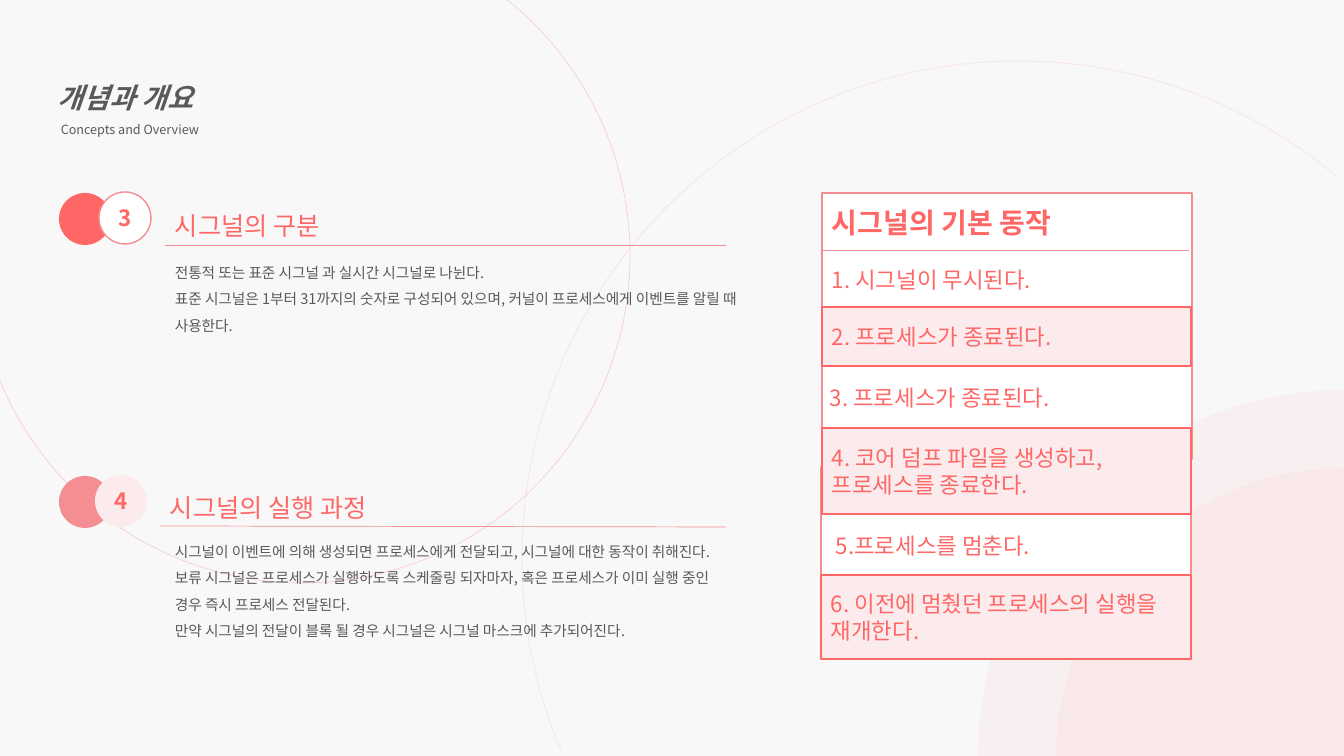
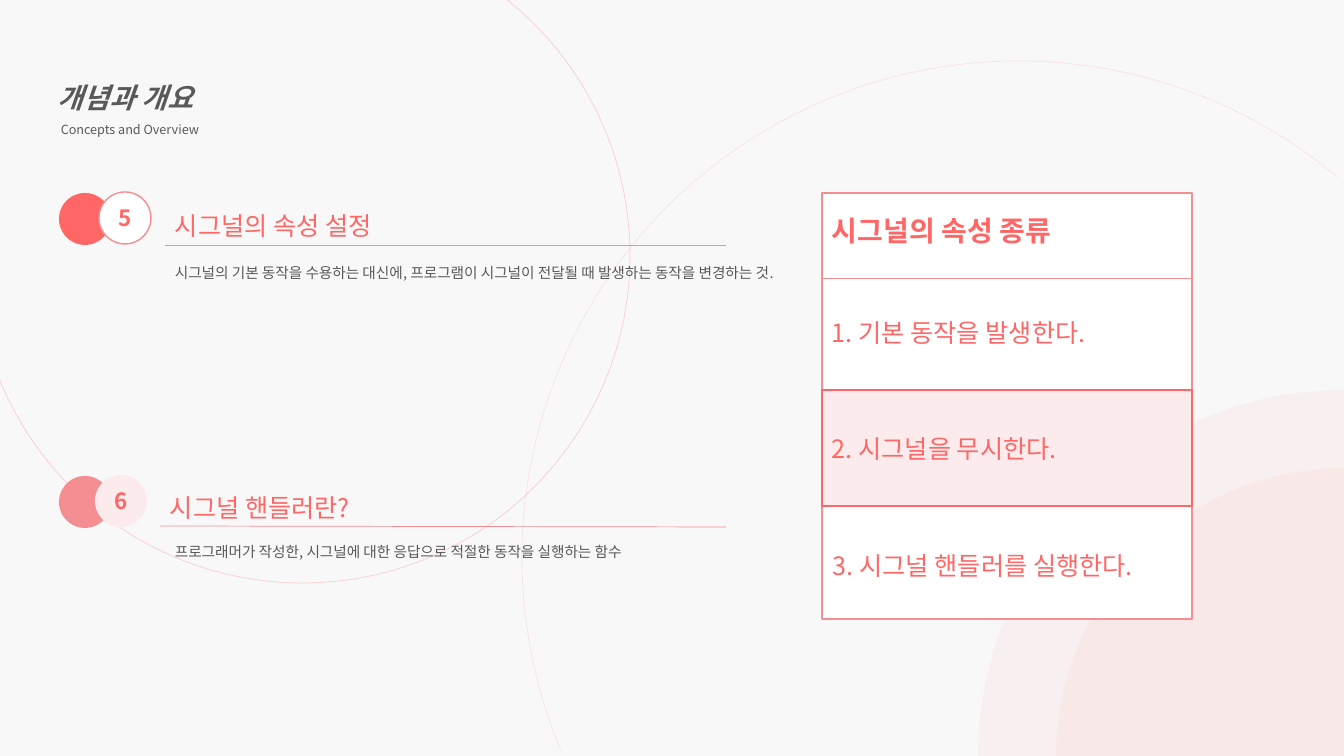
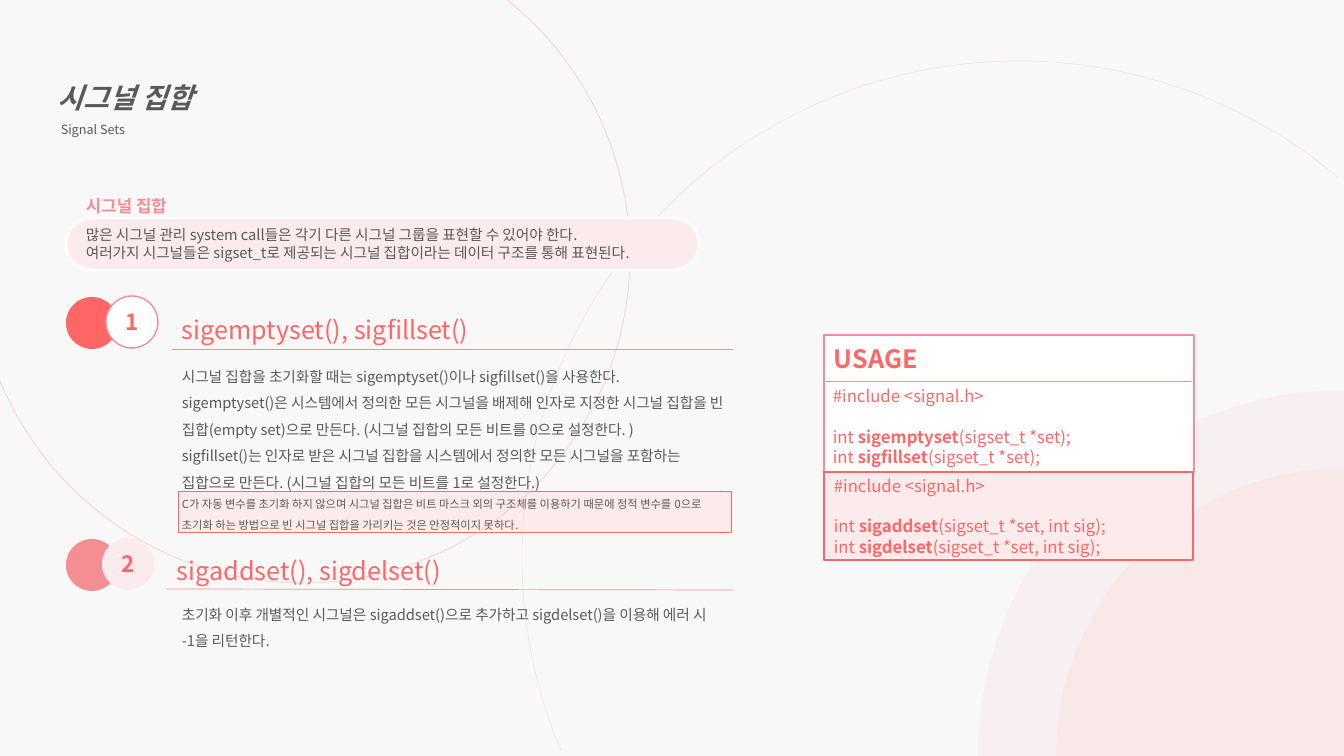
from lxml.etree import SubElement
from pptx import Presentation
from pptx.dml.color import RGBColor
from pptx.enum.shapes import MSO_CONNECTOR, MSO_SHAPE as SHAPE
from pptx.enum.text import MSO_ANCHOR as ANCHOR, MSO_AUTO_SIZE as AUTO, PP_ALIGN as ALIGN
from pptx.oxml.ns import qn
from pptx.util import Pt

PX = 914400 / 100.8
FONT = "Noto Sans CJK KR"
COLORS = {"bg": "F8F8F8", "red": "FF6766", "rose": "F48E93", "blush": "FCEBEC",
          "pink": "FAC6C8", "white": "FFFFFF", "text": "595959"}

# Backdrop arcs: x, y, diameter, start and end degrees, line, fill, opacity %
ARCS = [
    (522, 61, 993, 157.05, 309.98, "pink", None, 42),
    (-25, -72, 655, 307.99, 157.93, "pink", None, 82),
    (1056, 468, 577, 179.4, 270.17, None, "red", 5),
    (978, 390, 732, 179.4, 270.17, None, "red", 5),
]

# Two section styles; offsets are measured from the dot
DOT = 52
SECTION_STYLES = [
    {"dot": "red", "badge": "white", "outline": "rose", "badge_dx": 40,
     "head": (106, 12, 559, 40), "rule": (52, 52), "body_dy": 57},
    {"dot": "rose", "badge": "blush", "outline": None, "badge_dx": 36,
     "head": (101, 11, 565, 40), "rule": (50, 51), "body_dy": 53},
]
RULE_END, BODY_DX = 667, 106

# Content. Sections: number, heading, body size, paragraphs (** marks bold).
# Panel: kind, box (a rule has x, y, end x), paragraphs, format
HEAD = {"size": 20, "bold": True}
CODE = {"size": 12}
SLIDES = [
    {"title": ("개념과 개요", "Concepts and Overview"),
     "dots": [(59, 193), (59, 476)],
     "sections": [
         ("3", "시그널의 구분", (634, 87),
          ["전통적 또는 표준 시그널 과 실시간 시그널로 나뉜다.",
           "표준 시그널은 1부터 31까지의 숫자로 구성되어 있으며, 커널이 프로세스에게 이벤트를 알릴 때 사용한다."]),
         ("4", "시그널의 실행 과정", (559, 114),
          ["시그널이 이벤트에 의해 생성되면 프로세스에게 전달되고, 시그널에 대한 동작이 취해진다. "
           "보류 시그널은 프로세스가 실행하도록 스케줄링 되자마자, 혹은 프로세스가 이미 실행 중인 경우 "
           "즉시 프로세스 전달된다.",
           "만약 시그널의 전달이 블록 될 경우 시그널은 시그널 마스크에 추가되어진다."]),
     ],
     "panel": [
         ("card", (822, 193, 370, 266)),
         ("rule", (822, 250, 1189)),
         ("label", (822, 201, 291, 44), ["시그널의 기본 동작"], HEAD),
         ("label", (822, 261, 369, 57), ["1. 시그널이 무시된다."], {}),
         ("strip", (822, 307, 369, 59), ["2. 프로세스가 종료된다."], {}),
         ("card", (821, 467, 370, 138)),
         ("label", (826, 527, 367, 68), ["5.프로세스를 멈춘다."], {}),
         ("label", (820, 379, 369, 57), ["3. 프로세스가 종료된다."], {}),
         ("strip", (822, 428, 369, 86), ["4. 코어 덤프 파일을 생성하고, 프로세스를 종료한다."], {}),
         ("strip", (821, 575, 370, 84), ["6. 이전에 멈췄던 프로세스의 실행을 재개한다."], {}),
     ]},
    {"title": ("개념과 개요", "Concepts and Overview"),
     "dots": [(59, 193), (59, 476)],
     "sections": [
         ("5", "시그널의 속성 설정", (634, 60),
          ["시그널의 기본 동작을 수용하는 대신에, 프로그램이 시그널이 전달될 때 발생하는 동작을 변경하는 것."]),
         ("6", "시그널 핸들러란?", (559, 33),
          ["프로그래머가 작성한, 시그널에 대한 응답으로 적절한 동작을 실행하는 함수"]),
     ],
     "panel": [
         ("card", (822, 193, 370, 426)),
         ("rule", (823, 278, 1191)),
         ("label", (822, 209, 281, 44), ["시그널의 속성 종류"], HEAD),
         ("label", (822, 312, 369, 82), ["1. 기본 동작을 발생한다."], {"size": 18}),
         ("strip", (822, 390, 370, 116), ["2. 시그널을 무시한다."], {"size": 18}),
         ("label", (823, 545, 369, 82), ["3. 시그널 핸들러를 실행한다."], {"size": 18}),
     ]},
    {"title": ("시그널 집합", "Signal Sets"),
     "note": (178, 491, 553, 41),
     "intro": ("시그널 집합",
               ["많은 시그널 관리 system call들은 각기 다른 시그널 그룹을 표현할 수 있어야 한다.",
                "여러가지 시그널들은 sigset_t로 제공되는 시그널 집합이라는 데이터 구조를 통해 표현된다."]),
     "dots": [(66, 297), (66, 539)],
     "sections": [
         ("1", "sigemptyset(), sigfillset()", (573, 205),
          ["시그널 집합을 초기화할 때는 sigemptyset()이나 sigfillset()을 사용한다.",
           "sigemptyset()은 시스템에서 정의한 모든 시그널을 배제해 인자로 지정한 시그널 집합을 "
           "빈 집합(empty set)으로 만든다. (시그널 집합의 모든 비트를 0으로 설정한다. )",
           "sigfillset()는 인자로 받은 시그널 집합을 시스템에서 정의한 모든 시그널을 포함하는 "
           "집합으로 만든다. (시그널 집합의 모든 비트를 1로 설정한다.)",
           ("C가 자동 변수를 초기화 하지 않으며 시그널 집합은 비트 마스크 외의 구조체를 이용하기 때문에 "
            "정적 변수를 0으로 초기화 하는 방법으로 빈 시그널 집합을 가리키는 것은 안정적이지 못하다.",
            {"size": 8})]),
         ("2", "sigaddset(), sigdelset()", (559, 60),
          ["초기화 이후 개별적인 시그널은 sigaddset()으로 추가하고 sigdelset()을 이용해 에러 시 -1을 리턴한다."]),
     ],
     "panel": [
         ("card", (824, 335, 370, 137)),
         ("rule", (825, 381, 1192)),
         ("label", (824, 338, 246, 40), ["USAGE"], {"size": 18, "bold": True}),
         ("label", (823, 381, 369, 132),
          ["#include <signal.h>",
           ("int **sigemptyset**(sigset_t *set);", {"before": 14.5}),
           "int **sigfillset**(sigset_t *set);"], CODE),
         ("strip", (824, 472, 369, 88),
          ["#include <signal.h>",
           ("int **sigaddset**(sigset_t *set, int sig);", {"before": 14.5}),
           "int **sigdelset**(sigset_t *set, int sig);"], CODE),
     ]},
]


def px(*values):
    return [round(v * PX) for v in values]


def rgb(name):
    return RGBColor.from_string(COLORS[name])


def write(tf, paras, **fmt):
    """Fill a text frame; a paragraph is a string or (string, overrides)."""
    tf.word_wrap = fmt.get("wrap", True)
    for i, para in enumerate(paras):
        content, own = (para, {}) if isinstance(para, str) else para
        f = {"size": 16, "color": "red", **fmt, **own}
        p = tf.paragraphs[0] if i == 0 else tf.add_paragraph()
        p.alignment = f.get("align", ALIGN.LEFT)
        if "spacing" in f:
            p.line_spacing = f["spacing"]
        if "before" in f:
            p.space_before = Pt(f["before"])
        if "indent" in f:
            p._p.get_or_add_pPr().set("marL", str(Pt(f["indent"])))
        for j, piece in enumerate(content.split("**")):
            r = p.add_run()
            r.text = piece
            r.font.size = Pt(f["size"])
            r.font.bold = f.get("bold", False) or j % 2 == 1
            r.font.italic = f.get("italic", False)
            r.font.color.rgb = rgb(f["color"])
            r.font.name = FONT
            SubElement(r.font._element, qn("a:ea"), typeface=FONT)


def add_text(s, box, paras, **fmt):
    tf = s.shapes.add_textbox(*px(*box)).text_frame
    write(tf, paras, **fmt)
    tf.auto_size = AUTO.SHAPE_TO_FIT_TEXT


def add_shape(s, kind, box, fill=None, line=None, width=1):
    sp = s.shapes.add_shape(kind, *px(*box))
    sp.shadow.inherit = False
    if fill:
        sp.fill.solid()
        sp.fill.fore_color.rgb = rgb(fill)
    else:
        sp.fill.background()
    if line:
        sp.line.color.rgb = rgb(line)
        sp.line.width = Pt(width)
    else:
        sp.line.fill.background()
    sp.text_frame.vertical_anchor = ANCHOR.MIDDLE
    return sp


def add_rule(s, x1, y1, x2, y2):
    cx = s.shapes.add_connector(MSO_CONNECTOR.STRAIGHT, *px(x1, y1, x2, y2))
    cx.line.color.rgb = rgb("rose")
    cx.line.width = Pt(0.5)
    SubElement(cx._element.spPr, qn("a:effectLst"))


def add_backdrop(s):
    for x, y, size, start, end, line, fill, opacity in ARCS:
        sp = add_shape(s, SHAPE.ARC, (x, y, size, size), fill, line, 0.5)
        # Angles are 60000ths of a degree, adjustments 100000ths
        sp.adjustments[0], sp.adjustments[1] = start * 0.6, end * 0.6
        for clr in sp._element.spPr.iter(qn("a:srgbClr")):
            SubElement(clr, qn("a:alpha"), val=str(opacity * 1000))


def add_title(s, title, subtitle):
    add_text(s, (48, 59, 890, 84),
             [(title, {"size": 20, "bold": True, "italic": True}),
              (subtitle, {"size": 9, "indent": 2})], color="text", spacing=1.5)


def add_intro(s, label, paras):
    sp = add_shape(s, SHAPE.ROUNDED_RECTANGLE, (66, 218, 633, 52), "blush", "white", 2)
    sp.adjustments[0] = 0.5
    add_text(s, (76, 181, 111, 36), [label], size=12, color="rose", bold=True,
             spacing=1.5, wrap=False)
    add_text(s, (76, 221, 631, 45), paras, size=10.5, color="text")


def add_section(s, x, y, style, number, heading, body_size, body):
    dx, dy, w, h = style["head"]
    left, right = style["rule"]
    add_shape(s, SHAPE.OVAL, (x, y, DOT, DOT), style["dot"])
    badge = add_shape(s, SHAPE.OVAL, (x + style["badge_dx"], y - 1, DOT, DOT),
                      style["badge"], style["outline"])
    write(badge.text_frame, [number], bold=True, align=ALIGN.CENTER)
    add_text(s, (x + dx, y + dy, w, h), [heading], size=18)
    add_rule(s, x + dx, y + left, x + RULE_END, y + right)
    add_text(s, (x + BODY_DX, y + style["body_dy"], *body_size), body,
             size=10.5, color="text", spacing=1.5)


def add_panel_part(s, kind, box, paras=(), fmt=None):
    if kind == "card":
        add_shape(s, SHAPE.RECTANGLE, box, "white", "rose")
    elif kind == "rule":
        x1, y, x2 = box
        add_rule(s, x1, y, x2, y)
    elif kind == "label":
        add_text(s, box, paras, **fmt)
    else:
        sp = add_shape(s, SHAPE.RECTANGLE, box, "blush", "red")
        write(sp.text_frame, paras, **fmt)


def main():
    prs = Presentation()
    prs.slide_width, prs.slide_height = px(1344, 756)
    for data in SLIDES:
        s = prs.slides.add_slide(prs.slide_layouts[6])
        s.background.fill.solid()
        s.background.fill.fore_color.rgb = rgb("bg")
        if "note" in data:
            add_shape(s, SHAPE.RECTANGLE, data["note"], "blush", "red", 0.25)
        add_backdrop(s)
        add_title(s, *data["title"])
        if "intro" in data:
            add_intro(s, *data["intro"])
        for (x, y), style, section in zip(data["dots"], SECTION_STYLES, data["sections"]):
            add_section(s, x, y, style, *section)
        for part in data["panel"]:
            add_panel_part(s, *part)
    prs.save("out.pptx")


if __name__ == "__main__":
    main()
